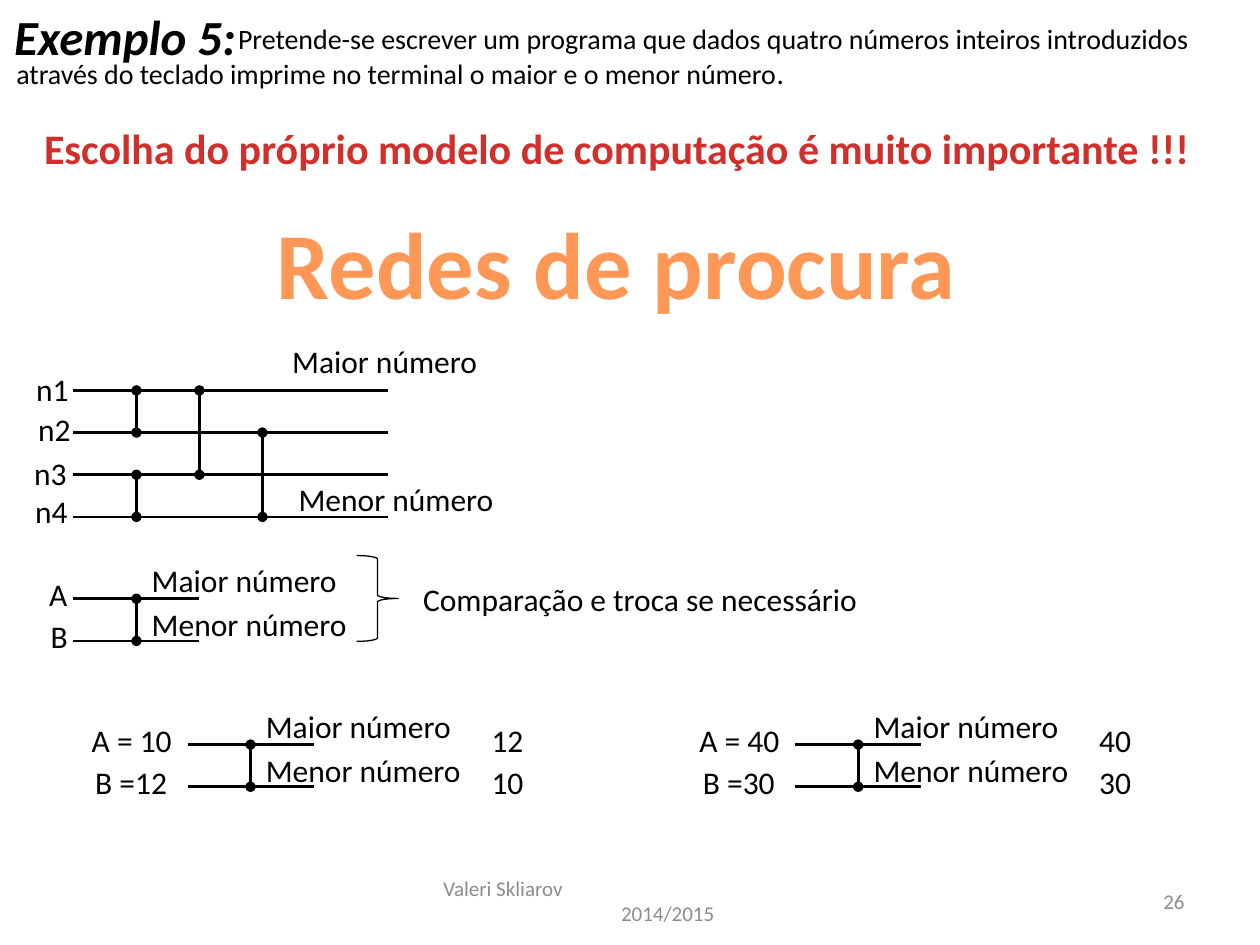
from lxml.etree import SubElement
from pptx import Presentation
from pptx.dml.color import RGBColor
from pptx.enum.shapes import MSO_CONNECTOR as Connector, MSO_SHAPE as Shape
from pptx.enum.text import MSO_ANCHOR as Anchor, MSO_AUTO_SIZE as AutoSize, PP_ALIGN as Align
from pptx.oxml.ns import qn
from pptx.util import Cm, Pt

COLORS = {"ink": "000000", "warning": "D02F2C", "topic": "FF9856", "footer": "8C8C8C"}
FONT = "Calibri"
WIRE_GAP = 0.85   # between neighbouring wires, cm
STEP = 1.27       # between neighbouring comparators, cm
LABEL_HEIGHT = 1.02


def color(name):
    return RGBColor.from_string(COLORS[name])


def style(paragraph, size, ink="ink", align=Align.LEFT, bold=False, italic=False):
    paragraph.alignment = align
    font = paragraph.font
    font.name, font.size, font.bold, font.italic = FONT, Pt(size), bold, italic
    font.color.rgb = color(ink)


def add_text(slide, box, lines, size=18, wrap=False, anchor=Anchor.TOP, **look):
    frame = slide.shapes.add_textbox(*map(Cm, box)).text_frame
    frame.word_wrap = wrap
    frame.vertical_anchor = anchor
    frame.text = lines
    for paragraph in frame.paragraphs:
        style(paragraph, size, **look)
    return frame


def add_label(slide, left, top, width, text):
    add_text(slide, (left, top, width, LABEL_HEIGHT), text)


def add_line(slide, x1, y1, x2, y2, dots=False):
    line = slide.shapes.add_connector(Connector.STRAIGHT, *map(Cm, (x1, y1, x2, y2)))
    line.line.color.rgb = color("ink")
    line.line.width = Pt(1.5)
    if dots:
        outline = line.line._get_or_add_ln()
        for end in ("a:headEnd", "a:tailEnd"):
            SubElement(outline, qn(end), type="oval")
    SubElement(line._element.spPr, qn("a:effectLst"))


def add_wires(slide, left, top, count, length, comparators):
    """Draw horizontal wires and (column, first wire, last wire) comparators."""
    for row in range(count):
        y = top + row * WIRE_GAP
        add_line(slide, left, y, left + length, y)
    for column, first, last in comparators:
        x = left + column * STEP
        add_line(slide, x, top + first * WIRE_GAP, x, top + last * WIRE_GAP, dots=True)


def add_heading(slide):
    # Example number
    title = slide.shapes.title
    title.left, title.top, title.width, title.height = map(Cm, (0.03, 0, 5.03, 1.45))
    frame = title.text_frame
    frame.text = "Exemplo 5:"
    frame.word_wrap = False
    frame.auto_size = AutoSize.NONE
    frame.vertical_anchor = Anchor.TOP
    style(frame.paragraphs[0], 28, bold=True, italic=True)

    # Task, its first line indented past the example number
    task = add_text(
        slide, (0.08, 0.3, 25.53, 1.7),
        "Pretende-se escrever um programa que dados quatro números inteiros introduzidos "
        "através do teclado imprime no terminal o maior e o menor número",
        size=16, wrap=True).paragraphs[0]
    full_stop = task.add_run()
    full_stop.text = "."
    full_stop.font.size = Pt(17)
    properties = task._p.get_or_add_pPr()
    properties.set("marL", "0")
    properties.set("indent", str(Cm(4.47)))

    # Message and topic
    add_text(slide, (0.56, 2.34, 23.75, 1.27),
             "Escolha do próprio modelo de computação é muito importante !!!",
             size=24, ink="warning", align=Align.CENTER, bold=True)
    add_text(slide, (5.26, 4.01, 14.33, 2.57), "Redes de procura",
             size=54, ink="topic", align=Align.CENTER, bold=True)


def add_network(slide, left, top):
    add_wires(slide, left, top, 4, 5 * STEP,
              [(1, 0, 1), (1, 2, 3), (2, 0, 2), (3, 1, 3)])
    inputs = [("n1", -1.0, -0.53), ("n2", -0.96, 0.28), ("n3", -1.04, 1.15), ("n4", -1.02, 1.93)]
    for text, dx, dy in inputs:
        add_label(slide, left + dx, top + dy, 1.17, text)
    add_label(slide, left + 4.16, top - 1.09, 4.42, "Maior número")
    add_label(slide, left + 4.29, top + 1.68, 4.62, "Menor número")


def add_comparator(slide, left, top, inputs, results=()):
    """Draw one comparator; inputs are (text, offset from wire, width)."""
    add_wires(slide, left, top, 2, 2 * STEP, [(1, 0, 1)])
    rows = (top - 0.6, top + 0.25)
    for y, (text, dx, width) in zip(rows, inputs):
        add_label(slide, left + dx, y, width, text)
    add_label(slide, left + 1.33, top - 0.88, 4.29, "Maior número")
    add_label(slide, left + 1.33, top, 4.5, "Menor número")
    for y, text in zip(rows, results):
        add_label(slide, left + 5.88, y, 1.17, text)


def add_rule(slide, left, top):
    add_comparator(slide, left, top, [("A", -0.74, 0.89), ("B", -0.71, 0.86)])
    brace = slide.shapes.add_shape(
        Shape.RIGHT_BRACE, *map(Cm, (left + 5.71, top - 0.87, 0.84, 1.73)))
    brace.shadow.inherit = False
    brace.fill.background()
    brace.line.color.rgb = color("ink")
    brace.line.width = Pt(0.75)
    add_label(slide, left + 6.8, top - 0.51, 9.37, "Comparação e troca se necessário")


def add_examples(slide, top):
    examples = [(3.78, "A = 10", "B =12", ("12", "10")),
                (16.03, "A = 40", "B =30", ("40", "30"))]
    for left, first, second, results in examples:
        inputs = [(first, -2.18, 2.16), (second, -2.11, 1.98)]
        add_comparator(slide, left, top, inputs, results)


def add_footer(slide, top):
    footer = add_text(slide, (8.69, top, 8.05, 1.02), "Valeri Skliarov\n2014/2015",
                      size=12, ink="footer", wrap=True, anchor=Anchor.MIDDLE)
    footer.paragraphs[1]._p.get_or_add_pPr().set("marL", str(Cm(3.58)))
    add_text(slide, (18.21, top, 5.92, 1.02), "26", size=12, ink="footer",
             wrap=True, anchor=Anchor.MIDDLE, align=Align.RIGHT)


def main():
    deck = Presentation()
    deck.slide_width, deck.slide_height = Cm(25.4), Cm(19.05)
    slide = deck.slides.add_slide(deck.slide_layouts[5])
    add_heading(slide)
    add_network(slide, 1.48, 7.87)
    add_rule(slide, 1.48, 12.07)
    add_examples(slide, 15.01)
    add_footer(slide, 17.65)
    deck.save("out.pptx")


if __name__ == "__main__":
    main()
